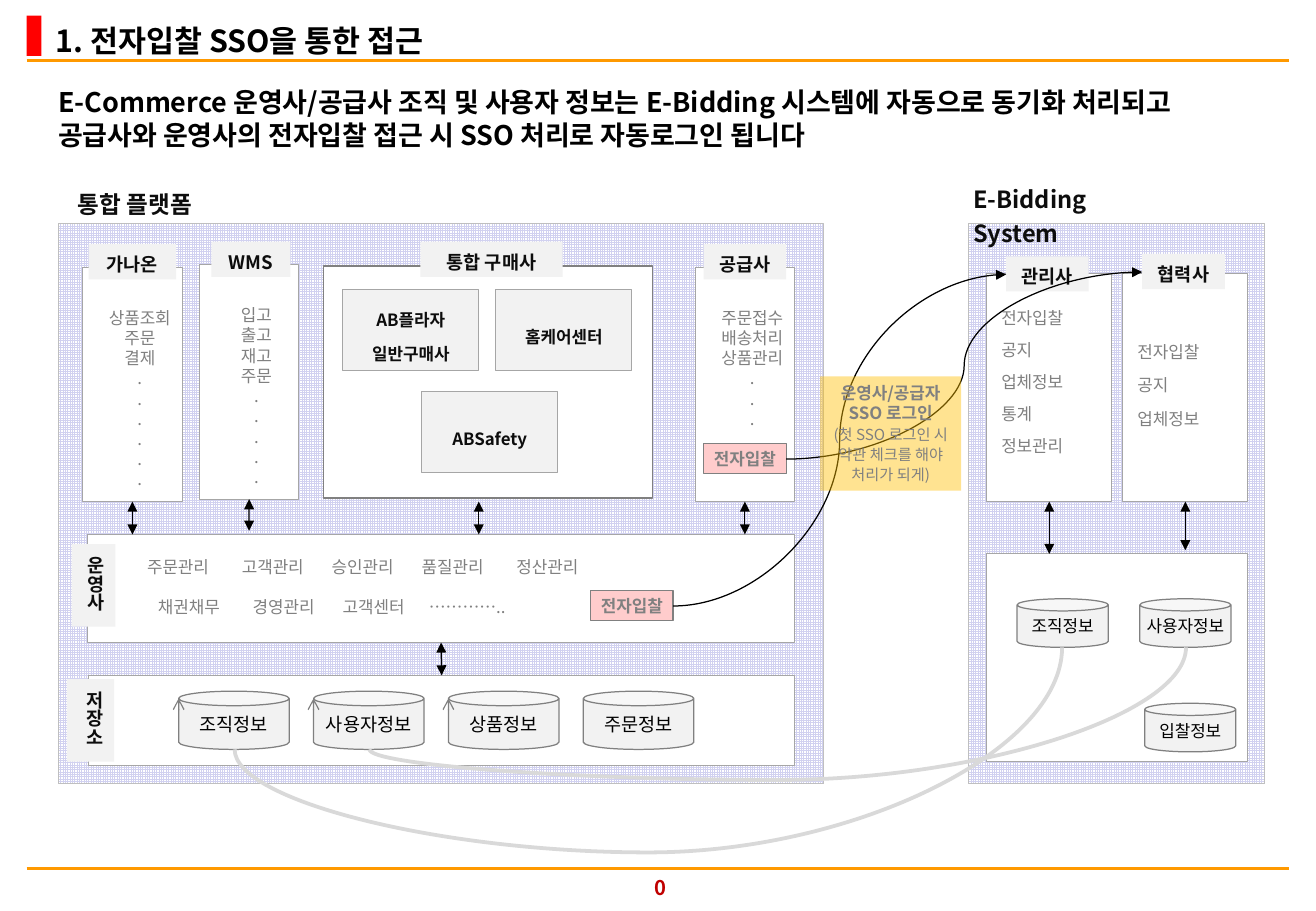
from lxml import etree
from pptx import Presentation
from pptx.dml.color import RGBColor
from pptx.enum.dml import MSO_PATTERN
from pptx.enum.shapes import MSO_CONNECTOR, MSO_SHAPE
from pptx.enum.text import MSO_ANCHOR, PP_ALIGN
from pptx.oxml.ns import qn
from pptx.util import Inches, Pt

FONT = "Noto Sans CJK KR"
RECT, CAN = MSO_SHAPE.RECTANGLE, MSO_SHAPE.CAN
STRAIGHT, CURVE = MSO_CONNECTOR.STRAIGHT, MSO_CONNECTOR.CURVE
TOP, MIDDLE = MSO_ANCHOR.TOP, MSO_ANCHOR.MIDDLE
LEFT, CENTER = PP_ALIGN.LEFT, PP_ALIGN.CENTER
TOP_SIDE, BOTTOM_SIDE = 0, 2

BLACK = RGBColor(0x00, 0x00, 0x00)
INK = RGBColor(0x0D, 0x0D, 0x0D)
GRAY = RGBColor(0x80, 0x80, 0x80)
EDGE = RGBColor(0xA6, 0xA6, 0xA6)
AREA_EDGE = RGBColor(0xBF, 0xBF, 0xBF)
SYNC = RGBColor(0xD9, 0xD9, 0xD9)
PALE = RGBColor(0xF2, 0xF2, 0xF2)
WHITE = RGBColor(0xFF, 0xFF, 0xFF)
GRID = RGBColor(0xD1, 0xD1, 0xF0)
PINK = RGBColor(0xFF, 0xCC, 0xCC)
AMBER = RGBColor(0xFF, 0xC0, 0x00)
ORANGE = RGBColor(0xFF, 0x99, 0x00)
RED = RGBColor(0xFF, 0x00, 0x00)
DARK_RED = RGBColor(0xC0, 0x00, 0x00)

TITLE = "1. 전자입찰 SSO을 통한 접근"
SUMMARY = ("E-Commerce 운영사/공급사 조직 및 사용자 정보는 E-Bidding 시스템에 자동으로 동기화 "
           "처리되고 공급사와 운영사의 전자입찰 접근 시 SSO 처리로 자동로그인 됩니다")
PAGE_NUMBER = "0"
AREAS = [(0.48, 1.84, 6.3, 4.61), (7.97, 1.84, 2.44, 4.61)]
AREA_LABELS = [("통합 플랫폼", (0.54, 1.47, 1.56, 0.38)),
               ("E-Bidding System", (7.91, 1.43, 1.8, 0.38))]
# lines, box, top inset, space before, alignment, arrow length
PANELS = [
    (["상품조회", "주문", "결제"] + ["."] * 6, (0.68, 2.2, 0.82, 1.93), 0.33, 0, CENTER, 0.27),
    (["입고", "출고", "재고", "주문"] + ["."] * 5, (1.64, 2.18, 0.82, 1.93), 0.33, 0, CENTER, 0.26),
    (["주문접수", "배송처리", "상품관리"] + ["."] * 3, (5.72, 2.2, 0.82, 1.93), 0.33, 0, CENTER, 0.27),
    (["전자입찰", "공지", "업체정보", "통계", "정보관리"], (8.12, 2.25, 1.03, 1.88), 0.28, 7, LEFT, 0.43),
    (["전자입찰", "공지", "업체정보"], (9.24, 2.25, 1.03, 1.88), 0.56, 8, LEFT, 0.4),
]
BUYER_PANEL = (2.66, 2.19, 2.71, 1.91)
BUYERS = [(["AB플라자", "일반구매사"], (2.82, 2.38)),
          (["홈케어센터"], (4.08, 2.38)),
          (["ABSafety"], (3.47, 3.22))]
BUYER_SIZE = (1.12, 0.67)
HEADS = [("가나온", (0.73, 2.01, 0.72, 0.29)), ("WMS", (1.74, 1.99, 0.65, 0.29)),
         ("통합 구매사", (3.46, 1.99, 1.17, 0.29)), ("공급사", (5.79, 2.01, 0.68, 0.29)),
         ("관리사", (8.28, 2.11, 0.68, 0.29)), ("협력사", (9.4, 2.09, 0.68, 0.29))]
SIDE_HEADS = [("운영사", (0.59, 4.48, 0.36, 0.68)), ("저장소", (0.55, 5.59, 0.39, 0.68))]
OPERATOR_BOX = (0.72, 4.4, 5.82, 0.89)
STORE_BOX = (0.73, 5.56, 5.81, 0.74)
BIDDING_STORE_BOX = (8.12, 4.56, 2.15, 1.71)
# tasks with the tab stops they start at
OPERATOR_TASKS = [
    (["주문관리", "고객관리", "승인관리", "품질관리", "정산관리"], [0.49, 1.27, 2.01, 2.75, 3.53]),
    (["채권채무", "경영관리", "고객센터", "………….."], [0.58, 1.36, 2.1, 2.81]),
]
BID_BUTTON = "전자입찰"
BID_BUTTONS = [(5.79, 3.65, 0.68, 0.25), (4.86, 4.86, 0.68, 0.25)]
STORES = ["조직정보", "사용자정보", "상품정보", "주문정보"]
STORE_LEFT, STORE_STEP = 1.47, 1.11
BIDDING_STORES = [("조직정보", 8.37, 4.93), ("사용자정보", 9.38, 4.93), ("입찰정보", 9.42, 5.79)]
LOGIN_CURVES = [(5.54, 4.99, 8.28, 2.26), (6.47, 3.78, 9.4, 2.24)]
# start, end and how far the curve dips, as a share of its height
SYNC_CURVES = [(1.93, 6.17, 8.74, 5.33, 1.01), (3.04, 6.17, 9.76, 5.33, 0.3)]
NOTICE = ["운영사/공급자", "SSO 로그인", "(첫 SSO 로그인 시 약관 체크를 해야 처리가 되게)"]

presentation = Presentation()
presentation.slide_width, presentation.slide_height = Inches(10.83), Inches(7.5)
slide = presentation.slides.add_slide(presentation.slide_layouts[6])
shapes = slide.shapes


def add_box(box, fill=None, edge=None, width=0.5, kind=RECT):
    shape = shapes.add_shape(kind, *map(Inches, box))
    shape.shadow.inherit = False
    if fill is not None:
        shape.fill.solid()
        shape.fill.fore_color.rgb = fill
    if edge is None:
        shape.line.fill.background()
    else:
        shape.line.color.rgb = edge
        shape.line.width = Pt(width)
    return shape


def write(shape, lines, size, color, bold=False, pitch=None, align=CENTER, anchor=TOP,
          insets=(0.1, 0.05, 0.1, 0.05), before=0, wrap=True, tabs=None):
    """Fill a shape with paragraphs; pitch is the exact line height in points."""
    frame = shape.text_frame
    frame.word_wrap, frame.vertical_anchor = wrap, anchor
    (frame.margin_left, frame.margin_top,
     frame.margin_right, frame.margin_bottom) = map(Inches, insets)
    for index, line in enumerate(lines):
        paragraph = frame.add_paragraph() if index else frame.paragraphs[0]
        paragraph.text = line
        paragraph.alignment = align
        if pitch:
            paragraph.line_spacing = Pt(pitch)
        if index and before:
            paragraph.space_before = Pt(before)
        if tabs:
            tab_list = etree.SubElement(paragraph._p.get_or_add_pPr(), qn("a:tabLst"))
            for stop in tabs[index]:
                etree.SubElement(tab_list, qn("a:tab"), pos=str(Inches(stop)), algn="l")
        font = paragraph.font
        font.name, font.size, font.bold = FONT, Pt(size), bold
        font.color.rgb = color
        defaults = paragraph._p.pPr.find(qn("a:defRPr"))
        etree.SubElement(defaults, qn("a:ea"), typeface=FONT)


def add_text(box, lines, size, color, **options):
    write(shapes.add_textbox(*map(Inches, box)), lines, size, color, bold=True, **options)


def add_line(points, color=BLACK, width=0.75, kind=STRAIGHT, ends=("headEnd", "tailEnd")):
    line = shapes.add_connector(kind, *map(Inches, points))
    line.line.color.rgb = color
    line.line.width = Pt(width)
    add_ends(line, ends, "triangle")
    etree.SubElement(line._element.spPr, qn("a:effectLst"))
    return line


def add_ends(shape, ends, style):
    outline = shape.line._get_or_add_ln()
    for end in ends:
        etree.SubElement(outline, qn("a:" + end), type=style)


def add_sync_curve(start_x, start_y, end_x, end_y, dip):
    """Draw a curve that leaves downwards: a flipped connector turned by 90 degrees."""
    center_x, center_y = (start_x + end_x) / 2, (start_y + end_y) / 2
    half_width, half_height = (start_y - end_y) / 2, (end_x - start_x) / 2
    line = add_line((center_x + half_width, center_y + half_height,
                     center_x - half_width, center_y - half_height), SYNC, 2.25, CURVE, ())
    properties = line._element.spPr
    properties.find(qn("a:xfrm")).set("rot", "5400000")
    guides = properties.find(qn("a:prstGeom")).find(qn("a:avLst"))
    etree.SubElement(guides, qn("a:gd"), name="adj1", fmla=f"val {round(-dip * 100000)}")


# Page frame
for rule_y in (0.5, 7.15):
    add_line((0.22, rule_y, 10.61, rule_y), ORANGE, 1.5, ends=())
add_box((0.22, 0.13, 0.12, 0.33), RED)
add_text((0.34, 0.09, 5.63, 0.48), [TITLE], 18, BLACK, align=LEFT, anchor=MIDDLE,
         insets=(0.12, 0.06, 0.12, 0.06))
add_text((5.02, 7.16, 0.83, 0.3), [PAGE_NUMBER], 12, DARK_RED, anchor=MIDDLE)
add_text((0.38, 0.64, 10.2, 1.02), [SUMMARY], 16, BLACK, pitch=20, align=LEFT)

# Areas and panels
for box in AREAS:
    area = add_box(box, edge=AREA_EDGE)
    area.fill.patterned()
    area.fill.pattern = MSO_PATTERN.SMALL_GRID
    area.fill.fore_color.rgb, area.fill.back_color.rgb = GRID, WHITE
for label, box in AREA_LABELS:
    add_text(box, [label], 14, INK, pitch=20, align=LEFT)

operator = add_box(OPERATOR_BOX, WHITE, EDGE)
write(operator, ["\t" + "\t".join(tasks) for tasks, stops in OPERATOR_TASKS], 10, GRAY,
      pitch=12, align=LEFT, insets=(0, 0.18, 0, 0), before=12,
      tabs=[stops for tasks, stops in OPERATOR_TASKS])
store = add_box(STORE_BOX, WHITE, EDGE)
add_box(BIDDING_STORE_BOX, WHITE, EDGE)
add_box(BUYER_PANEL, WHITE, GRAY, 0.75)
for names, corner in BUYERS:
    write(add_box(corner + BUYER_SIZE, PALE, EDGE), names, 10, INK, True, 20, anchor=MIDDLE)

for lines, box, inset, before, align, arrow_length in PANELS:
    panel = add_box(box, WHITE, EDGE)
    write(panel, lines, 10, GRAY, pitch=12, align=align, insets=(0.12, inset, 0, 0), before=before)
    left, top, width, height = box
    middle, bottom = left + width / 2, top + height
    arrow = add_line((middle, bottom, middle, bottom + arrow_length))
    arrow.begin_connect(panel, BOTTOM_SIDE)
add_line((3.94, 4.13, 3.94, 4.4))
store_arrow = add_line((3.63, 5.29, 3.63, 5.56))
store_arrow.begin_connect(operator, BOTTOM_SIDE)
store_arrow.end_connect(store, TOP_SIDE)

for label, box in HEADS:
    write(add_box(box, PALE), [label], 11, INK, True, 15)
for label, box in SIDE_HEADS:
    side_head = add_box(box, PALE)
    write(side_head, [label], 11, INK, True, 15)
    side_head.text_frame._txBody.bodyPr.set("vert", "eaVert")
for box in BID_BUTTONS:
    write(add_box(box, PINK, GRAY, 0.75), [BID_BUTTON], 10, GRAY, True, anchor=MIDDLE, wrap=False)

# Data stores
for index, name in enumerate(STORES):
    can = add_box((STORE_LEFT + index * STORE_STEP, 5.69, 0.91, 0.48), PALE, GRAY, 0.75, CAN)
    write(can, [name], 11, BLACK, anchor=MIDDLE, wrap=False)
    if name != STORES[-1]:
        add_ends(can, ["tailEnd"], "arrow")
for name, left, top in BIDDING_STORES:
    can = add_box((left, top, 0.75, 0.4), PALE, GRAY, 0.75, CAN)
    write(can, [name], 10, BLACK, anchor=MIDDLE, wrap=False)

# Login and synchronisation
for points in LOGIN_CURVES:
    add_line(points, kind=CURVE, ends=["tailEnd"])
for curve in SYNC_CURVES:
    add_sync_curve(*curve)
notice = add_box((6.75, 3.1, 1.16, 0.94), AMBER)
notice_color = notice._element.spPr.find(qn("a:solidFill"))[0]
etree.SubElement(notice_color, qn("a:alpha"), val="43000")
write(notice, NOTICE, 10, GRAY, True, 12)
detail_font = notice.text_frame.paragraphs[-1].font
detail_font.size, detail_font.bold = Pt(9), False

presentation.save("out.pptx")
